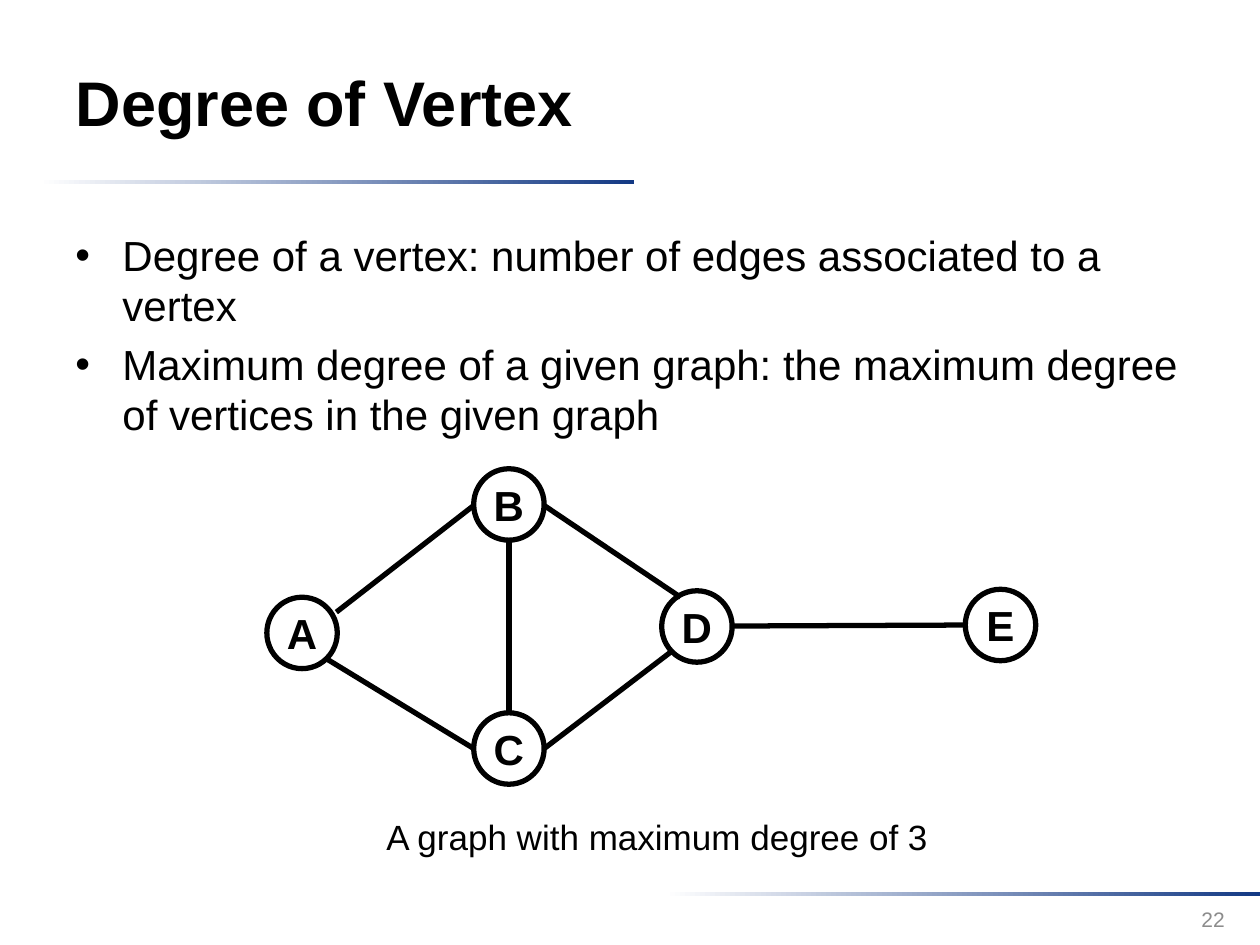
import pptx
import pptx.util
import pptx.dml.color
import pptx.enum.shapes
import pptx.enum.text
import pptx.oxml.ns
import lxml.etree

Cm = pptx.util.Cm
Pt = pptx.util.Pt
SHAPE = pptx.enum.shapes.MSO_SHAPE
ALIGN = pptx.enum.text.PP_ALIGN
ANCHOR = pptx.enum.text.MSO_ANCHOR

BLACK, WHITE, NAVY, GREY = "000000", "FFFFFF", "133984", "8C8C8C"
FONT = "Arial"
NODE_W, NODE_H = 1.42, 1.44

# Left and top of each vertex, in cm
NODES = {
    "A": (5.38, 12.04),
    "B": (9.55, 9.45),
    "C": (9.55, 14.37),
    "D": (13.34, 11.91),
    "E": (19.46, 11.88),
}

# Start and end of each edge, in cm
EDGES = [
    ((6.78, 12.34), (9.55, 10.19)),    # A-B
    ((6.58, 13.28), (9.55, 15.09)),    # A-C
    ((10.97, 10.19), (13.72, 12.04)),  # B-D
    ((10.97, 15.09), (13.54, 13.13)),  # C-D
    ((14.76, 12.62), (19.46, 12.6)),   # D-E
    ((10.26, 10.9), (10.26, 14.37)),   # B-C
]

POINTS = [
    "Degree of a vertex: number of edges associated to a vertex",
    "Maximum degree of a given graph: the maximum degree of vertices in the given graph",
]


def tint(code):
    return pptx.dml.color.RGBColor.from_string(code)


def add_run(par, text, size, color=BLACK, bold=False):
    run = par.add_run()
    run.text = text
    font = run.font
    font.name, font.size, font.bold = FONT, Pt(size), bold
    font.color.rgb = tint(color)


def add_box(slide, left, top, width, height, anchor=ANCHOR.TOP, wrap=True):
    box = slide.shapes.add_textbox(Cm(left), Cm(top), Cm(width), Cm(height))
    frame = box.text_frame
    frame.word_wrap = wrap
    frame.vertical_anchor = anchor
    return frame


def add_title(slide, text):
    title = slide.shapes.title
    title.left, title.top = Cm(1.27), Cm(0.46)
    title.width, title.height = Cm(19.63), Cm(3.18)
    frame = title.text_frame
    frame.vertical_anchor = ANCHOR.MIDDLE
    par = frame.paragraphs[0]
    par.alignment = ALIGN.LEFT
    add_run(par, text, 36, bold=True)


def add_rule(slide, left, top):
    bar = slide.shapes.add_shape(
        SHAPE.RECTANGLE, Cm(left), Cm(top), Cm(12), Cm(0.08))
    bar.shadow.inherit = False
    bar.line.fill.background()
    bar.fill.gradient()
    bar.fill.gradient_angle = 0
    for stop, color, place in zip(bar.fill.gradient_stops, (WHITE, NAVY), (0, 1)):
        stop.color.rgb = tint(color)
        stop.position = place


def add_bullet(par):
    props = par._p.get_or_add_pPr()
    props.set("marL", str(Cm(0.95)))
    props.set("indent", str(-Cm(0.95)))
    mark = lxml.etree.SubElement(props, pptx.oxml.ns.qn("a:buFont"))
    mark.set("typeface", FONT)
    mark = lxml.etree.SubElement(props, pptx.oxml.ns.qn("a:buChar"))
    mark.set("char", "•")


def add_list(slide, items):
    frame = add_box(slide, 1.27, 4.5, 22.86, 4.8)
    for num, text in enumerate(items):
        par = frame.add_paragraph() if num else frame.paragraphs[0]
        add_bullet(par)
        par.line_spacing = Pt(28.8)
        par.space_before = Pt(4.8 if num else 0)
        add_run(par, text, 24)


def add_node(slide, name, left, top):
    node = slide.shapes.add_shape(
        SHAPE.OVAL, Cm(left), Cm(top), Cm(NODE_W), Cm(NODE_H))
    node.shadow.inherit = False
    node.fill.background()
    node.line.color.rgb = tint(BLACK)
    node.line.width = Pt(3)
    frame = node.text_frame
    frame.word_wrap = False
    frame.vertical_anchor = ANCHOR.MIDDLE
    frame.margin_left = frame.margin_right = 0
    frame.margin_top = frame.margin_bottom = 0
    par = frame.paragraphs[0]
    par.alignment = ALIGN.CENTER
    add_run(par, name, 24, bold=True)


def add_edge(slide, start, end):
    edge = slide.shapes.add_connector(
        pptx.enum.shapes.MSO_CONNECTOR.STRAIGHT,
        *(Cm(val) for val in start + end))
    edge.line.color.rgb = tint(BLACK)
    edge.line.width = Pt(3)
    lxml.etree.SubElement(
        edge._element.spPr, pptx.oxml.ns.qn("a:effectLst"))


def add_label(slide, text, spot, size, align, color=BLACK, **style):
    par = add_box(slide, *spot, **style).paragraphs[0]
    par.alignment = align
    add_run(par, text, size, color)


def main():
    deck = pptx.Presentation()
    deck.slide_width, deck.slide_height = Cm(25.4), Cm(19.05)
    slide = deck.slides.add_slide(deck.slide_layouts[5])

    # Rules, heading and list
    add_rule(slide, 0.79, 3.63)
    add_rule(slide, 13.4, 17.98)
    add_title(slide, "Degree of Vertex")
    add_list(slide, POINTS)

    # Graph
    for name, (left, top) in NODES.items():
        add_node(slide, name, left, top)
    for start, end in EDGES:
        add_edge(slide, start, end)

    # Caption and page number
    add_label(slide, "A graph with maximum degree of 3",
              (7.47, 16.31, 11.56, 1.12), 20, ALIGN.CENTER, wrap=False)
    add_label(slide, "22", (19.02, 18.01, 5.92, 1.02), 12, ALIGN.RIGHT,
              GREY, anchor=ANCHOR.MIDDLE)

    deck.save("out.pptx")


if __name__ == "__main__":
    main()
